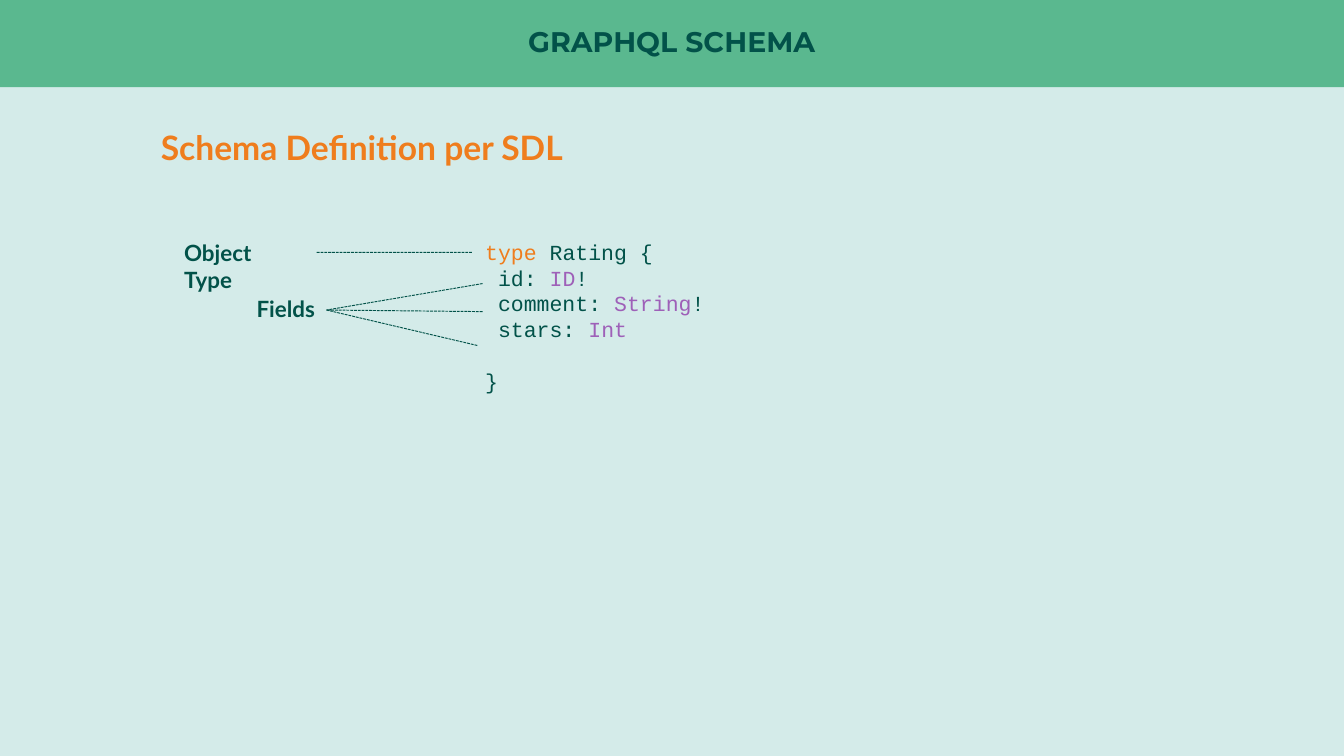
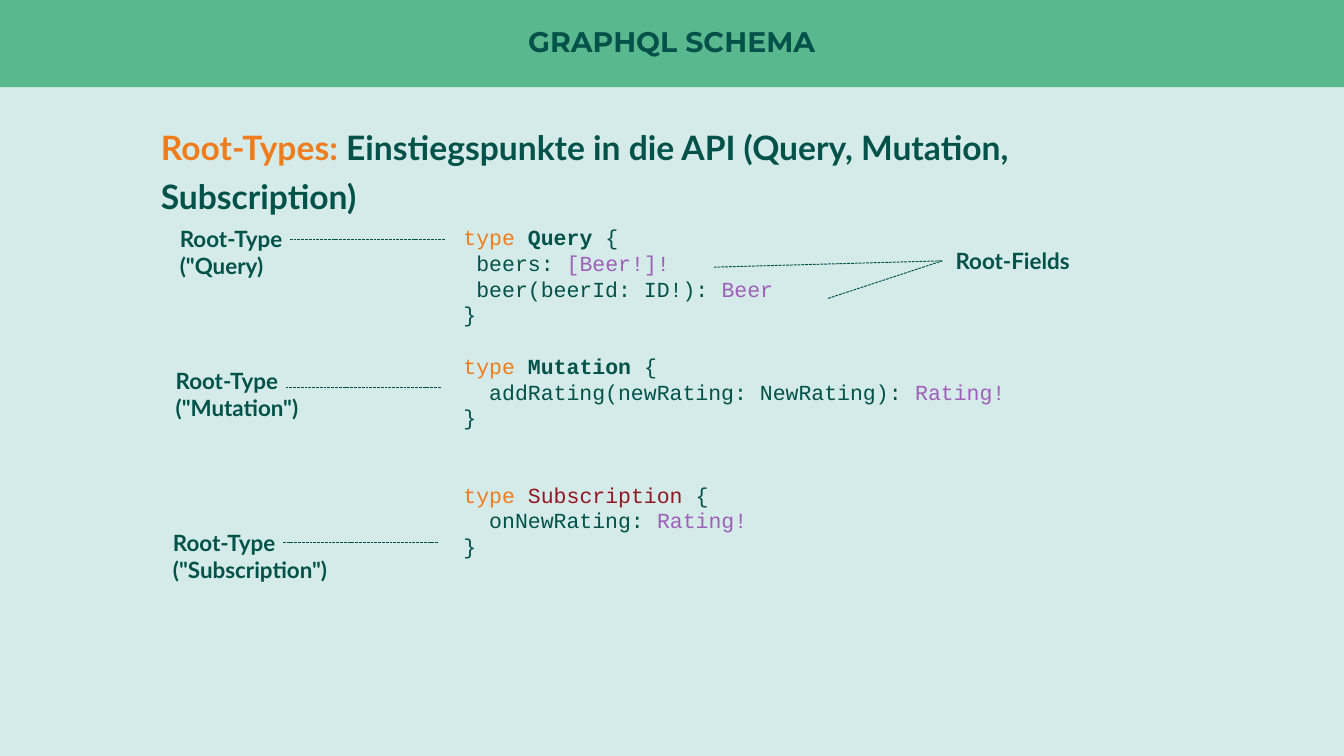
from dataclasses import dataclass

from lxml import etree
from pptx import Presentation
from pptx import util as u
from pptx.dml import color
from pptx.enum import dml, shapes, text
from pptx.oxml import ns


def rgb(value):
    return color.RGBColor.from_string(value)


@dataclass(frozen=True)
class Theme:
    # Colours
    background = rgb("D4EBE9")
    band = rgb("5AB88F")
    ink = rgb("025249")
    accent = rgb("EF7D1D")
    type_name = rgb("9E60B8")
    special = rgb("931621")
    # Fonts
    title_font = "Montserrat"
    body_font = "Lato"
    code_font = "Courier New"
    # Sizes in points
    title_size = 15.2
    heading_size = 18
    label_size = 12
    code_size = 11.5
    code_pitch = 13.8
    leader_width = 0.5


THEME = Theme()
SLIDE_WIDTH, SLIDE_HEIGHT = 25.4, 14.29
BAND_HEIGHT = 1.65


def add_run(paragraph, words, font, size, ink=THEME.ink, bold=False):
    run = paragraph.add_run()
    run.text = words
    run.font.name = font
    run.font.size = u.Pt(size)
    run.font.bold = bold
    run.font.color.rgb = ink


def next_paragraph(frame):
    first = frame.paragraphs[0]
    return frame.add_paragraph() if first.runs else first


def add_box(slide, left, top, width, height):
    box = slide.shapes.add_textbox(u.Cm(left), u.Cm(top), u.Cm(width), u.Cm(height))
    box.text_frame.word_wrap = True
    return box


# Shared slide frame: background and title band
def add_slide(prs, title):
    slide = prs.slides.add_slide(prs.slide_layouts[6])
    slide.background.fill.solid()
    slide.background.fill.fore_color.rgb = THEME.background

    band = slide.shapes.add_shape(
        shapes.MSO_SHAPE.RECTANGLE, 0, 0, u.Cm(SLIDE_WIDTH), u.Cm(BAND_HEIGHT))
    band.shadow.inherit = False
    band.fill.solid()
    band.fill.fore_color.rgb = THEME.band
    band.line.fill.background()

    frame = band.text_frame
    frame.margin_left = frame.margin_right = frame.margin_top = frame.margin_bottom = 0
    frame.vertical_anchor = text.MSO_ANCHOR.MIDDLE
    heading = frame.paragraphs[0]
    heading.alignment = text.PP_ALIGN.CENTER
    heading.line_spacing = 0.9
    add_run(heading, title, THEME.title_font, THEME.title_size, bold=True)
    return slide


def add_heading(slide, height, *parts):
    box = add_box(slide, 2.79, 2.13, 19.79, height)
    paragraph = box.text_frame.paragraphs[0]
    paragraph.line_spacing = 1.2
    for words, ink in parts:
        add_run(paragraph, words, THEME.body_font, THEME.heading_size, ink, True)


def add_label(slide, left, top, width, *lines):
    box = add_box(slide, left, top, width, 0.25 + 0.51 * len(lines))
    for line in lines:
        add_run(next_paragraph(box.text_frame), line,
                THEME.body_font, THEME.label_size, bold=True)
    return box


def add_code(slide, left, top, width, height, lines):
    """Each line lists its (words, ink, bold) runs; an empty line opens a gap."""
    frame = add_box(slide, left, top, width, height).text_frame
    gap = 0
    for line in lines:
        if not line:
            gap += 1
            continue
        paragraph = next_paragraph(frame)
        paragraph.line_spacing = u.Pt(THEME.code_pitch)
        if gap:
            paragraph.space_before = u.Pt(gap * THEME.code_pitch)
        gap = 0
        for words, *style in line:
            add_run(paragraph, words, THEME.code_font, THEME.code_size, *style)


def add_leader(slide, code_end, label_end, label=None, side=None):
    """Dashed line from the code to its label, joined to the label if given."""
    points = [u.Cm(value) for value in (*code_end, *label_end)]
    leader = slide.shapes.add_connector(shapes.MSO_CONNECTOR.STRAIGHT, *points)
    leader.line.color.rgb = THEME.ink
    leader.line.width = u.Pt(THEME.leader_width)
    leader.line.dash_style = dml.MSO_LINE.SQUARE_DOT
    etree.SubElement(leader._element.spPr, ns.qn("a:effectLst"))
    if label is not None:
        leader.end_connect(label, side)


def build_sdl_slide(prs):
    slide = add_slide(prs, "GRAPHQL SCHEMA")
    add_heading(slide, 1.12, ("Schema Definition per SDL", THEME.accent))
    add_code(slide, 8.92, 4.39, 8.51, 4.67, [
        [("type", THEME.accent), (" Rating {",)],
        [(" id: ",), ("ID", THEME.type_name), ("!",)],
        [(" comment: ",), ("String", THEME.type_name), ("!",)],
        [(" stars: ",), ("Int", THEME.type_name)],
        [],
        [("}",)],
    ])

    object_type = add_label(slide, 3.23, 4.39, 2.74, "Object Type")
    add_leader(slide, (8.92, 4.77), (5.97, 4.77), object_type, 3)

    # Fields fan out to the three field lines
    add_label(slide, 4.6, 5.46, 2.74, "Fields")
    for field_end in ((9.12, 5.36), (9.12, 5.89), (9.02, 6.53)):
        add_leader(slide, field_end, (6.17, 5.86))


def build_root_types_slide(prs):
    slide = add_slide(prs, "GRAPHQL SCHEMA")
    add_heading(
        slide, 2.03, ("Root-Types: ", THEME.accent),
        ("Einstiegspunkte in die API (Query, Mutation, Subscription)", THEME.ink))
    add_code(slide, 8.51, 4.11, 13.11, 7.14, [
        [("type ", THEME.accent), ("Query", THEME.ink, True), (" {",)],
        [(" beers: ",), ("[Beer!]!", THEME.type_name)],
        [(" beer(beerId: ID!): ",), ("Beer", THEME.type_name)],
        [("}",)],
        [],
        [("type ", THEME.accent), ("Mutation", THEME.ink, True), (" {",)],
        [("  addRating(newRating: NewRating): ",), ("Rating!", THEME.type_name)],
        [("}",)],
        [],
        [],
        [("type ", THEME.accent), ("Subscription", THEME.special), (" {",)],
        [("  onNewRating: ",), ("Rating!", THEME.type_name)],
        [("}",)],
    ])

    # Root types on the left
    for left, top, leader_y, root_type in (
            (3.15, 4.14, 4.52, '("Query)'),
            (3.07, 6.81, 7.32, '("Mutation")'),
            (3.02, 9.88, 10.26, '("Subscription")')):
        add_label(slide, left, top, 6.1, "Root-Type", root_type)
        label_x = left + 2.31
        add_leader(slide, (label_x + 2.95, leader_y), (label_x, leader_y))

    # Root fields on the right
    root_fields = add_label(slide, 17.81, 4.55, 6.1, "Root-Fields")
    for field_end in ((13.49, 5.05), (15.65, 5.64)):
        add_leader(slide, field_end, (17.81, 4.93), root_fields, 1)


def main():
    prs = Presentation()
    prs.slide_width = u.Cm(SLIDE_WIDTH)
    prs.slide_height = u.Cm(SLIDE_HEIGHT)
    build_sdl_slide(prs)
    build_root_types_slide(prs)
    prs.save("out.pptx")


if __name__ == "__main__":
    main()
